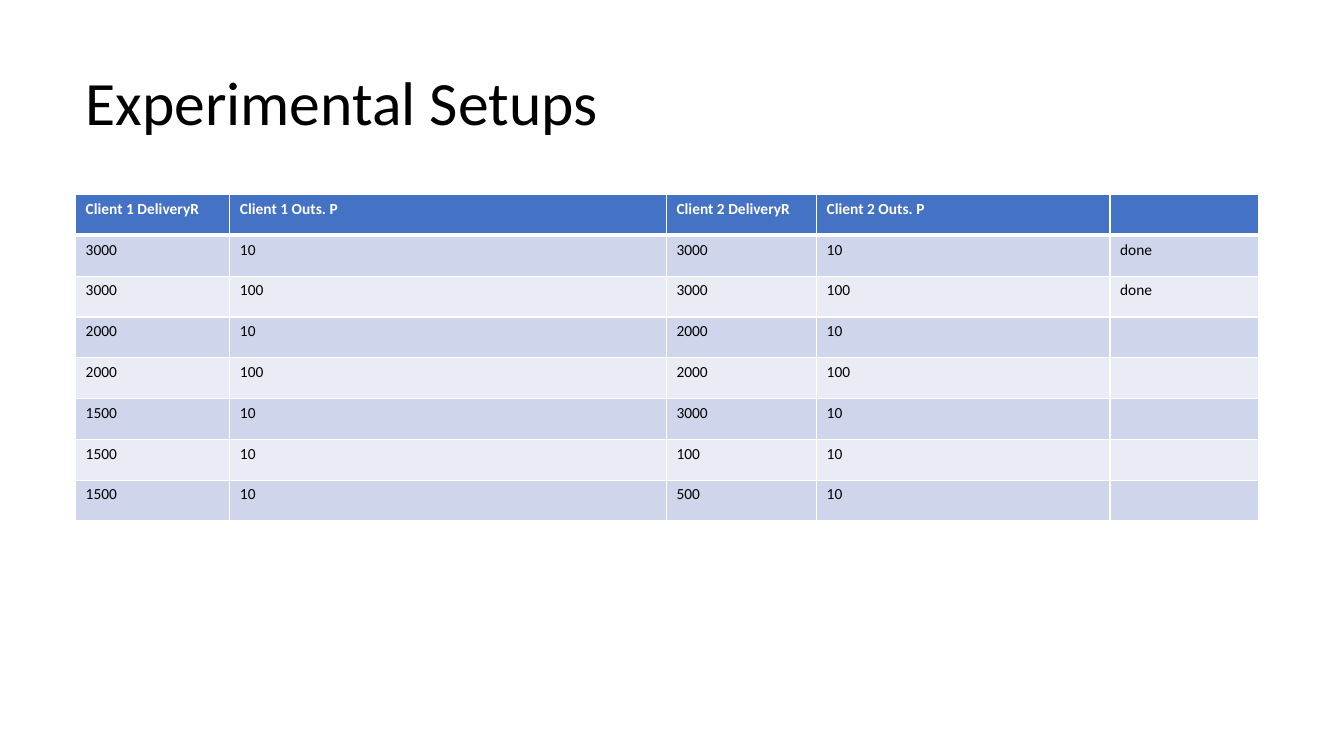
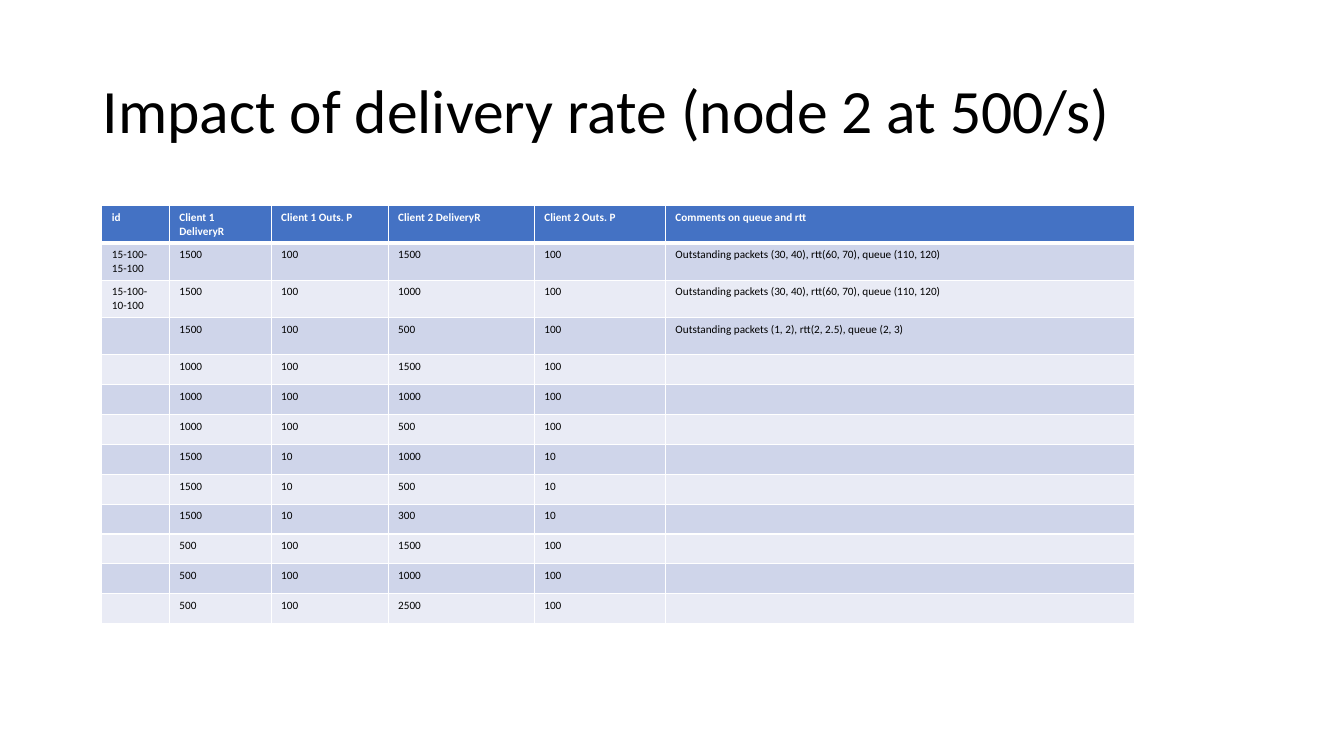
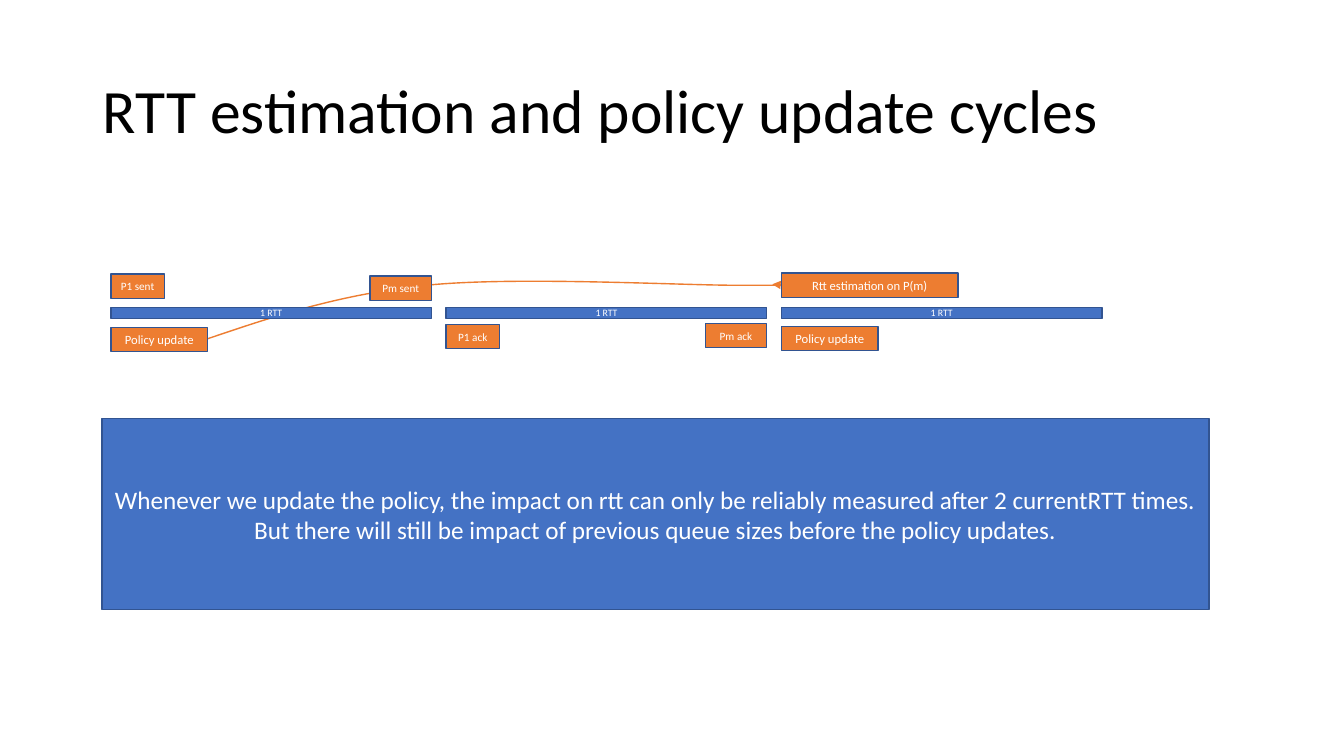
import pptx
import pptx.dml.color
import pptx.enum.shapes
import pptx.enum.text
import pptx.oxml
import pptx.oxml.ns
import pptx.util
from dataclasses import dataclass
from lxml import etree

Inches, Pt = pptx.util.Inches, pptx.util.Pt
qn = pptx.oxml.ns.qn
ALIGN, ANCHOR = pptx.enum.text.PP_ALIGN, pptx.enum.text.MSO_ANCHOR


@dataclass(frozen=True)
class Theme:
    font: str = "Calibri"
    black: str = "000000"
    white: str = "FFFFFF"
    blue: str = "4472C4"
    outline: str = "325491"
    orange: str = "ED7D31"
    bands: tuple = ("CFD5EA", "E9EBF5")
    title: int = 44
    message: int = 18
    setups: int = 11
    rates: int = 8
    event: int = 9
    packet: int = 8
    cycle: int = 7
    line: int = 1
    header_rule: int = 3


T = Theme()


def rgb(code):
    return pptx.dml.color.RGBColor.from_string(code)


def inches(*values):
    return [Inches(v) for v in values]


def style(p, size, color, bold=False):
    p.font.name, p.font.size, p.font.bold = T.font, Pt(size), bold
    p.font.color.rgb = rgb(color)


def new_slide(prs, title, left=0.92, top=0.4):
    s = prs.slides.add_slide(prs.slide_layouts[6])
    tf = s.shapes.add_textbox(*inches(left, top, 11.5, 1.45)).text_frame
    tf.word_wrap, tf.vertical_anchor = True, ANCHOR.MIDDLE
    p = tf.paragraphs[0]
    p.text, p.line_spacing = title, 0.9
    style(p, T.title, T.black)
    return s


# Tables
def set_borders(cell, top, bottom):
    tcPr = cell._tc.get_or_add_tcPr()
    widths = {"lnL": T.line, "lnR": T.line, "lnT": top, "lnB": bottom}
    for i, (side, width) in enumerate(widths.items()):
        ln = etree.Element(qn("a:" + side), w=str(Pt(width)))
        fill = etree.SubElement(ln, qn("a:solidFill"))
        etree.SubElement(fill, qn("a:srgbClr"), val=T.white)
        tcPr.insert(i, ln)


def fill_cell(cell, text, row, size):
    header = row == 0
    p = cell.text_frame.paragraphs[0]
    if text:
        p.text = text
    else:
        p._p.get_or_add_endParaRPr().set("sz", str(size * 100))
    style(p, size, T.white if header else T.black, header)
    cell.fill.solid()
    cell.fill.fore_color.rgb = rgb(T.blue if header else T.bands[(row - 1) % 2])
    set_borders(cell, T.header_rule if row == 1 else T.line,
                T.header_rule if header else T.line)


def add_grid(s, left, top, widths, heights, rows, size):
    box = inches(left, top, sum(widths), sum(heights))
    table = s.shapes.add_table(len(rows), len(widths), *box).table
    table.first_row = table.horz_banding = False
    for column, width in zip(table.columns, widths):
        column.width = Inches(width)
    for i, (values, height) in enumerate(zip(rows, heights)):
        table.rows[i].height = Inches(height)
        for j, text in enumerate(values):
            fill_cell(table.cell(i, j), text, i, size)


CLIENTS = ("Client 1 DeliveryR", "Client 1 Outs. P",
           "Client 2 DeliveryR", "Client 2 Outs. P")


def setups_slide(prs):
    s = new_slide(prs, "Experimental Setups", 0.75, 0.32)
    rows = [
        (*CLIENTS, ""),
        ("3000", "10", "3000", "10", "done"),
        ("3000", "100", "3000", "100", "done"),
        ("2000", "10", "2000", "10", ""),
        ("2000", "100", "2000", "100", ""),
        ("1500", "10", "3000", "10", ""),
        ("1500", "10", "100", "10", ""),
        ("1500", "10", "500", "10", ""),
    ]
    heights = [3.24 / len(rows)] * len(rows)
    add_grid(s, 0.75, 1.93, (1.53, 4.33, 1.49, 2.91, 1.47), heights, rows, T.setups)


def rates_slide(prs):
    s = new_slide(prs, "Impact of delivery rate (node 2 at 500/s)")
    busy = "Outstanding packets (30, 40), rtt(60, 70), queue (110, 120)"
    idle = "Outstanding packets (1, 2), rtt(2, 2.5), queue (2, 3)"
    rows = [
        ("id", *CLIENTS, "Comments on queue and rtt"),
        ("15-100-15-100", "1500", "100", "1500", "100", busy),
        ("15-100-10-100", "1500", "100", "1000", "100", busy),
        ("", "1500", "100", "500", "100", idle),
    ]
    # Runs without id or comment: both clients share the outstanding packets
    untested = [("1000", "100", "1500"), ("1000", "100", "1000"),
                ("1000", "100", "500"), ("1500", "10", "1000"),
                ("1500", "10", "500"), ("1500", "10", "300"),
                ("500", "100", "1500"), ("500", "100", "1000"),
                ("500", "100", "2500")]
    tall, total = [0.37] * len(rows), 4.15
    short = [(total - sum(tall)) / len(untested)] * len(untested)
    rows += [("", rate1, packets, rate2, packets, "")
             for rate1, packets, rate2 in untested]
    add_grid(s, 1.01, 2.04, (0.67, 1.01, 1.16, 1.45, 1.3, 4.65),
             tall + short, rows, T.rates)


# Timeline
def add_box(s, left, top, width, height, text, size, fill, inset=0.02):
    sp = s.shapes.add_shape(pptx.enum.shapes.MSO_SHAPE.RECTANGLE,
                            *inches(left, top, width, height))
    sp.shadow.inherit = False
    sp.fill.solid()
    sp.fill.fore_color.rgb = rgb(fill)
    sp.line.color.rgb, sp.line.width = rgb(T.outline), Pt(T.line)
    tf = sp.text_frame
    tf.word_wrap, tf.vertical_anchor = True, ANCHOR.MIDDLE
    tf.margin_left = tf.margin_right = Inches(inset)
    p = tf.paragraphs[0]
    p.text, p.alignment = text, ALIGN.CENTER
    style(p, size, T.white)


def add_curve(s, left, top, points):
    """Draw Bezier segments: a start, then two handles and an end for each."""
    start, *rest = [inches(left + x, top + y) for x, y in points]
    builder = s.shapes.build_freeform(*start, scale=1.0)
    builder.add_line_segments(rest, close=False)
    sp = builder.convert_to_shape()
    sp.shadow.inherit = False
    sp.fill.background()
    sp.line.color.rgb, sp.line.width = rgb(T.orange), Pt(T.line)
    etree.SubElement(sp.line._get_or_add_ln(), qn("a:tailEnd"), type="triangle")
    # Turn each three straight steps into one cubic segment
    path = sp._element.find(".//" + qn("a:path"))
    steps = path.findall(qn("a:lnTo"))
    for i in range(0, len(steps), 3):
        cubic = etree.SubElement(path, qn("a:cubicBezTo"))
        for step in steps[i:i + 3]:
            cubic.append(step[0])
            path.remove(step)


def add_timeline(s, left, top, width):
    bar, chip = 3.18, 0.24
    pitch = (width - bar) / 2
    packet_end = bar - 0.61

    # Curve from the policy update to the estimate
    add_curve(s, left, top, [
        (0.96, 0.65),
        (1.61, 0.43), (2.26, 0.21), (3.13, 0.12),
        (4.01, 0.03), (5.63, 0.12), (6.2, 0.12),
        (6.78, 0.12), (6.67, 0.12), (6.56, 0.11)])

    # Cycle bars
    for i in range(3):
        add_box(s, left + i * pitch, top + 0.34, bar, 0.11, "1 RTT", T.cycle, T.blue)

    # Events: cycle, offset in it, drop, width, label, type size
    events = [
        (0, 0, 0.01, 0.53, "P1 sent", T.packet),
        (0, packet_end, 0.03, 0.61, "Pm sent", T.packet),
        (0, 0, 0.54, 0.96, "Policy update", T.event),
        (1, 0, 0.51, 0.53, "P1 ack", T.packet),
        (1, packet_end, 0.5, 0.61, "Pm ack", T.packet),
        (2, 0, 0, 1.75, "Rtt estimation on P(m)", T.event),
        (2, 0, 0.53, 0.96, "Policy update", T.event),
    ]
    for cycle, offset, drop, wide, label, size in events:
        add_box(s, left + cycle * pitch + offset, top + drop, wide, chip,
                label, size, T.orange)


def cycles_slide(prs):
    s = new_slide(prs, "RTT estimation and policy update cycles")
    add_timeline(s, 1.1, 2.71, 9.83)
    add_box(s, 1.01, 4.15, 10.98, 1.9,
            "Whenever we update the policy, the impact on rtt can only be reliably "
            "measured after 2 currentRTT times. But there will still be impact of "
            "previous queue sizes before the policy updates.",
            T.message, T.blue, inset=0.1)


def main():
    prs = pptx.Presentation()
    prs.slide_width, prs.slide_height = inches(13.33, 7.5)
    setups_slide(prs)
    rates_slide(prs)
    cycles_slide(prs)
    prs.save("out.pptx")


if __name__ == "__main__":
    main()
